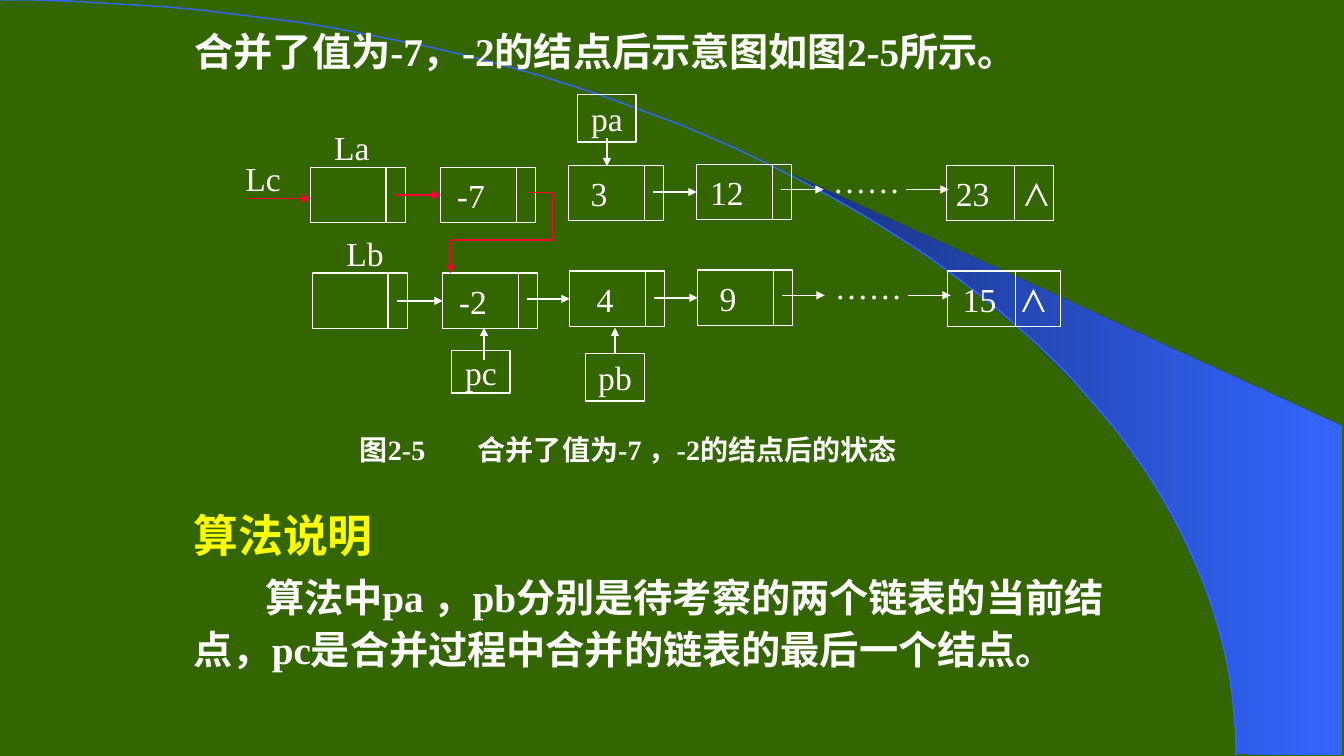
"""Build a slide showing two linked lists after merging the nodes -7 and -2."""
import lxml.etree
import pptx
import pptx.dml.color
import pptx.enum.shapes
import pptx.enum.text
import pptx.oxml.ns
import pptx.util

HEADING = ("合并了值为-7，-2的结点后示意图如图2-5所示。", (183, 17, 958, 67))
CAPTION = ("图", "2-5\t合并了值为-7 ，-2的结点后的状态", (344, 422, 583, 47))
NOTES = ("算法说明",
         "算法中pa ，pb分别是待考察的两个链表的当前结点，pc是合并过程中合并的链表的最后一个结点。",
         (182, 493, 958, 181))
NODES = {
    "La": ("", 308, 166, 0), "-7": ("-7", 437, 166, 34),
    "3": ("3", 564, 164, 34), "12": ("12", 691, 163, 34),
    "Lb": ("", 310, 271, 0), "-2": ("-2", 439, 271, 34),
    "4": ("4", 565, 269, 24), "9": ("9", 692, 268, 34),
}
LINKS = [("La", "-7", "red"), ("3", "12", "white"), ("12", None, "white"),
         ("Lb", "-2", "white"), ("-2", "4", "white"), ("4", "9", "white"),
         ("9", None, "white")]
TAILS = [("23\t⋀", 939, 164, 106, 9, 68), ("15\t⋀", 940, 269, 112, 15, 58)]
GAPS = [("……", 820, 151, 188), ("……", 822, 256, 293)]
LABELS = [("La", (315, 121, 68, 50)), ("Lb", (316, 226, 92, 50)),
          ("Lc", (232, 156, 58, 42))]
POINTERS = {"pa": (573, 94, 58, 47), "pb": (581, 351, 58, 47),
            "pc": (448, 348, 58, 42)}
POINTER_ARROWS = [("pa", (602, 137), (602, 165)), ("pc", (480, 357), (480, 325)),
                  ("pb", (610, 351), (610, 325))]
LC_ARROW = ((245, 197), (308, 197))
MERGE_PATH = [(523, 191), (548, 191), (548, 238), (447, 238), (447, 271)]
WEDGE = [(1227, 748), (1331, 749), (1331, 423), (786, 173), (832, 199), (870, 222),
         (913, 250), (955, 280), (1016, 330), (1070, 384), (1110, 431), (1144, 479),
         (1171, 528), (1191, 572), (1204, 609), (1217, 656), (1223, 696)]
ARC = [(1, 0), (678, 1), (1226, 336), (1226, 749)]
ARC_STEPS = 60

THEME = {
    "colors": {"board": "336600", "white": "FFFFFF", "red": "FF0033",
               "yellow": "FFFF00", "dark": "19337F", "blue": "3366FF"},
    "sizes": {"node": 24, "caption": 20, "body": 28, "section": 32},
    "fonts": {"serif": "Times New Roman", "sans": "Arial"},
}
NODE_W, NODE_H, DIVIDER, TAIL_DIVIDER = 94, 55, 75, 67
LINK_GAP, LINK_LEN, LINK_DROP = 9, 42, 25
FIRST_INDENT, CAPTION_PAD, CAPTION_TAB = 71, 13, 117
SCALE = 9144

ALIGN = pptx.enum.text.PP_ALIGN
MIDDLE = pptx.enum.text.MSO_ANCHOR.MIDDLE
RECT = pptx.enum.shapes.MSO_SHAPE.RECTANGLE
STRAIGHT = pptx.enum.shapes.MSO_CONNECTOR.STRAIGHT
qn = pptx.oxml.ns.qn


def px(*values):
    return [int(v * SCALE) for v in values]


def color(name):
    return pptx.dml.color.RGBColor.from_string(THEME["colors"][name])


def set_all(obj, formats):
    for key, value in formats.items():
        setattr(obj, key, value)


def add_run(p, text, size="node", tint="white", font="serif", bold=False):
    r = p.add_run()
    r.text = text
    set_all(r.font, {"name": THEME["fonts"][font], "bold": bold,
                     "size": pptx.util.Pt(THEME["sizes"][size])})
    r.font.color.rgb = color(tint)


def set_tab(p, pos):
    tabs = lxml.etree.SubElement(p._p.get_or_add_pPr(), qn("a:tabLst"))
    lxml.etree.SubElement(tabs, qn("a:tab"), pos=str(px(pos)[0]), algn="l")


def set_frame(sp, left=0, right=0, wrap=False):
    set_all(sp.text_frame, {"margin_left": px(left)[0], "margin_right": px(right)[0],
                            "margin_top": 0, "margin_bottom": 0,
                            "vertical_anchor": MIDDLE, "word_wrap": wrap})


def centred(sp, text, right=0):
    set_frame(sp, right=right)
    p = sp.text_frame.paragraphs[0]
    p.alignment = ALIGN.CENTER
    add_run(p, text)


def style_line(line, tint):
    line.color.rgb = color(tint)
    line.width = pptx.util.Pt(1)


def add_box(s, box):
    sp = s.shapes.add_shape(RECT, *px(*box))
    sp.shadow.inherit = False
    sp.fill.background()
    style_line(sp.line, "white")
    return sp


def add_line(s, start, end, tint="white", arrow=False):
    c = s.shapes.add_connector(STRAIGHT, *px(*start, *end))
    style_line(c.line, tint)
    spPr = c.element.spPr
    if arrow:
        lxml.etree.SubElement(spPr.find(qn("a:ln")), qn("a:tailEnd"), type="triangle")
    lxml.etree.SubElement(spPr, qn("a:effectLst"))
    return c


def add_cell(s, x, y, w=NODE_W, divider=DIVIDER):
    sp = add_box(s, (x, y, w, NODE_H))
    add_line(s, (x + divider, y), (x + divider, y + NODE_H))
    return sp


def add_outline(s, points, close):
    fb = s.shapes.build_freeform(*points[0], scale=SCALE)
    fb.add_line_segments(points[1:], close=close)
    sp = fb.convert_to_shape()
    sp.shadow.inherit = False
    return sp


def bezier(t):
    weights = ((1 - t) ** 3, 3 * t * (1 - t) ** 2, 3 * t * t * (1 - t), t ** 3)
    return tuple(sum(w * pt[axis] for w, pt in zip(weights, ARC)) for axis in (0, 1))


def add_backdrop(s):
    s.background.fill.solid()
    s.background.fill.fore_color.rgb = color("board")
    wedge = add_outline(s, WEDGE, True)
    wedge.line.fill.background()
    wedge.fill.gradient()
    wedge.fill.gradient_angle = 0
    for stop, name in zip(wedge.fill.gradient_stops, ("dark", "blue")):
        stop.color.rgb = color(name)
    arc = add_outline(s, [bezier(i / ARC_STEPS) for i in range(ARC_STEPS + 1)], False)
    arc.fill.background()
    style_line(arc.line, "blue")


def add_lists(s):
    cells = {}
    for name, (text, x, y, pad) in NODES.items():
        cells[name] = add_cell(s, x, y)
        if text:
            centred(cells[name], text, pad)
    for source, target, tint in LINKS:
        x, y = NODES[source][1] + DIVIDER + LINK_GAP, NODES[source][2] + LINK_DROP
        if target:
            y = NODES[target][2] + NODE_H / 2
        c = add_line(s, (x, y), (x + LINK_LEN, y), tint, True)
        if target:
            c.end_connect(cells[target], 1)
    for text, x, y, w, pad, tab in TAILS:
        sp = add_cell(s, x, y, w, TAIL_DIVIDER)
        set_frame(sp, left=pad, wrap=True)
        p = sp.text_frame.paragraphs[0]
        p.alignment = ALIGN.LEFT
        set_tab(p, tab)
        add_run(p, text)
    for text, x, y, arrow_y in GAPS:
        centred(s.shapes.add_textbox(*px(x, y, NODE_W, NODE_H)), text, 15)
        add_line(s, (x + 79, arrow_y), (x + 79 + LINK_LEN, arrow_y), arrow=True)


def add_pointers(s):
    for text, box in LABELS:
        centred(s.shapes.add_textbox(*px(*box)), text)
    boxes = {name: add_box(s, box) for name, box in POINTERS.items()}
    for name, sp in boxes.items():
        centred(sp, name)
    for name, start, end in POINTER_ARROWS:
        c = add_line(s, start, end, arrow=True)
        if name == "pb":
            c.begin_connect(boxes[name], 0)
    add_line(s, *LC_ARROW, "red", True)
    for start, end in zip(MERGE_PATH, MERGE_PATH[1:]):
        add_line(s, start, end, "red", end == MERGE_PATH[-1])


def add_prose(p, text, size="body", tint="white", indent=0):
    set_all(p, {"line_spacing": 1.1, "alignment": ALIGN.LEFT,
                "space_before": pptx.util.Pt(THEME["sizes"][size] * 0.2)})
    pPr = p._p.get_or_add_pPr()
    pPr.set("marL", "0")
    pPr.set("indent", str(px(indent)[0]))
    lxml.etree.SubElement(pPr, qn("a:buNone"))
    add_run(p, text, size, tint, bold=True)


def add_texts(s):
    title, body = s.placeholders
    title.element.getparent().remove(title.element)
    s.shapes.element.append(body.element)
    text, box = HEADING
    set_all(body, dict(zip(("left", "top", "width", "height"), px(*box))))
    body.text_frame.auto_size = pptx.enum.text.MSO_AUTO_SIZE.NONE
    add_prose(body.text_frame.paragraphs[0], text)
    lead, text, box = CAPTION
    sp = s.shapes.add_textbox(*px(*box))
    set_frame(sp, left=CAPTION_PAD, wrap=True)
    p = sp.text_frame.paragraphs[0]
    set_tab(p, CAPTION_TAB)
    add_run(p, lead, "caption", font="sans", bold=True)
    add_run(p, text, "caption", bold=True)
    section, text, box = NOTES
    tf = s.shapes.add_textbox(*px(*box)).text_frame
    tf.word_wrap = True
    add_prose(tf.paragraphs[0], section, "section", "yellow")
    add_prose(tf.add_paragraph(), text, indent=FIRST_INDENT)


def main():
    prs = pptx.Presentation()
    prs.slide_width, prs.slide_height = px(1333, 750)
    s = prs.slides.add_slide(prs.slide_layouts[1])
    add_backdrop(s)
    add_lists(s)
    add_pointers(s)
    add_texts(s)
    prs.save("out.pptx")


if __name__ == "__main__":
    main()
